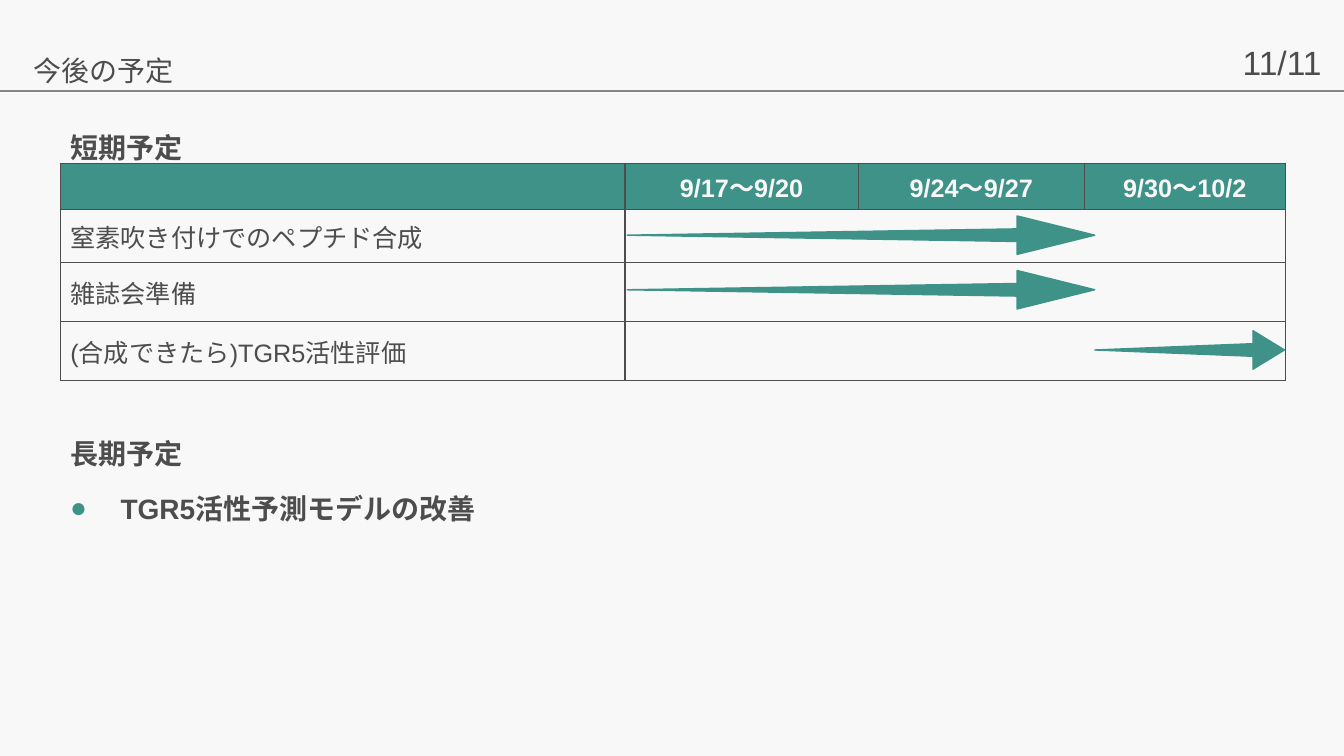
from dataclasses import dataclass

from lxml import etree
from pptx import Presentation
from pptx.dml.color import RGBColor
from pptx.enum.shapes import MSO_CONNECTOR, MSO_SHAPE
from pptx.enum.text import MSO_ANCHOR, MSO_AUTO_SIZE, PP_ALIGN
from pptx.oxml.ns import qn
from pptx.util import Pt

TRIANGLE = MSO_SHAPE.ISOSCELES_TRIANGLE
STRAIGHT = MSO_CONNECTOR.STRAIGHT
MIDDLE, TOP = MSO_ANCHOR.MIDDLE, MSO_ANCHOR.TOP
LEFT, CENTER = PP_ALIGN.LEFT, PP_ALIGN.CENTER
NO_AUTOFIT = MSO_AUTO_SIZE.NONE


@dataclass(frozen=True)
class Theme:
    paper: str = "F8F8F8"
    ink: str = "4D4D4D"
    rule: str = "858585"
    accent: str = "3E9288"
    latin: str = "Arial"
    japanese: str = "Noto Sans CJK JP"
    number_size: int = 24
    heading_size: int = 20
    table_size: int = 18


class SlideBuilder:
    def __init__(self, page, theme):
        self.page = page
        self.theme = theme
        self.fill(page.background, theme.paper)

    def fill(self, target, color):
        target.fill.solid()
        target.fill.fore_color.rgb = RGBColor.from_string(color)

    def style(self, para, size, color, bold=False):
        for span in para.runs:
            font = span.font
            font.size, font.bold, font.name = Pt(size), bold, self.theme.latin
            font.color.rgb = RGBColor.from_string(color)
            east_asian = etree.SubElement(font._element, qn("a:ea"))
            east_asian.set("typeface", self.theme.japanese)

    def set_text(self, box, place, lines, size, bold=False, spacing=1.0,
                 before=0, anchor=TOP, wrap=True):
        box.left, box.top, box.width, box.height = map(Pt, place)
        frame = box.text_frame
        frame.text = "\n".join(lines)
        frame.word_wrap = wrap
        frame.auto_size = NO_AUTOFIT
        frame.vertical_anchor = anchor
        for index, para in enumerate(frame.paragraphs):
            para.alignment = LEFT
            para.line_spacing = spacing
            para.space_before = Pt(before if index else 0)
            self.style(para, size, self.theme.ink, bold)
        return box

    def title(self, text, place):
        self.set_text(self.page.shapes.title, place, [text],
                      self.theme.heading_size, spacing=1.4, anchor=MIDDLE)

    def text(self, place, lines, size, **options):
        box = self.page.shapes.add_textbox(*map(Pt, place))
        return self.set_text(box, place, lines, size, **options)

    def bullet(self, para, indent):
        properties = para._p.get_or_add_pPr()
        properties.set("marL", str(Pt(indent)))
        properties.set("indent", str(Pt(-indent)))
        color = etree.SubElement(properties, qn("a:buClr"))
        etree.SubElement(color, qn("a:srgbClr")).set("val", self.theme.accent)
        etree.SubElement(properties, qn("a:buFont")).set("typeface", self.theme.latin)
        etree.SubElement(properties, qn("a:buChar")).set("char", "●")

    def rule(self, y, width):
        line = self.page.shapes.add_connector(STRAIGHT, 0, Pt(y), Pt(width), Pt(y))
        line.line.color.rgb = RGBColor.from_string(self.theme.rule)
        line.line.width = Pt(1)
        etree.SubElement(line._element.spPr, qn("a:effectLst"))

    def borders(self, cell, hidden):
        properties = cell._tc.get_or_add_tcPr()
        for index, side in enumerate(("lnL", "lnR", "lnT", "lnB")):
            line = etree.Element(qn(f"a:{side}"), w=str(Pt(1)))
            if side in hidden:
                etree.SubElement(line, qn("a:noFill"))
            else:
                paint = etree.SubElement(line, qn("a:solidFill"))
                etree.SubElement(paint, qn("a:srgbClr")).set("val", self.theme.ink)
            properties.insert(index, line)

    def schedule(self, left, top, widths, heights, header, tasks):
        place = map(Pt, (left, top, sum(widths), sum(heights)))
        table = self.page.shapes.add_table(len(heights), len(widths), *place).table
        for column, width in zip(table.columns, widths):
            column.width = Pt(width)
        for row, height in zip(table.rows, heights):
            row.height = Pt(height)
        last = len(widths) - 1
        rows = [header] + [[task] + [""] * last for task in tasks]
        for y, texts in enumerate(rows):
            for x, text in enumerate(texts):
                cell = table.cell(y, x)
                cell.text = text
                cell.vertical_anchor = MIDDLE
                para = cell.text_frame.paragraphs[0]
                para.alignment = LEFT if y else CENTER
                self.style(para, self.theme.table_size,
                           self.theme.ink if y else self.theme.paper, bold=not y)
                self.fill(cell, self.theme.paper if y else self.theme.accent)
                hidden = set()
                if y and x > 1:
                    hidden.add("lnL")
                if y and 0 < x < last:
                    hidden.add("lnR")
                self.borders(cell, hidden)

    def triangle(self, group, left, right, middle, breadth, rotation):
        length = right - left
        place = ((left + right - breadth) / 2, middle - length / 2, breadth, length)
        shape = group.shapes.add_shape(TRIANGLE, *map(Pt, place))
        shape.rotation = rotation
        shape.shadow.inherit = False
        self.fill(shape, self.theme.accent)
        shape.line.color.rgb = RGBColor.from_string(self.theme.accent)
        shape.line.width = Pt(1)

    def arrow(self, start, neck, tip, middle):
        group = self.page.shapes.add_group_shape()
        self.triangle(group, neck, tip, middle, 27.5, 90)
        self.triangle(group, start, neck, middle, 9, 270)


def main():
    deck = Presentation()
    deck.slide_width, deck.slide_height = Pt(960), Pt(540)
    theme = Theme()
    slide = SlideBuilder(deck.slides.add_slide(deck.slide_layouts[5]), theme)

    slide.text((880.5, 26.5, 76.5, 36), ["11/11"], theme.number_size, wrap=False)
    slide.rule(65, 960)
    slide.text((43, 82, 874, 36.5), ["短期予定"], theme.heading_size,
               bold=True, spacing=1.4, anchor=MIDDLE)
    slide.title("今後の予定", (16.5, 27.5, 902, 36.5))
    slide.schedule(
        43, 116.5, (403.5, 166.5, 161.5, 143.5), (32, 38, 42, 42),
        ["", "9/17〜9/20", "9/24〜9/27", "9/30〜10/2"],
        ["窒素吹き付けでのペプチド合成", "雑誌会準備", "(合成できたら)TGR5活性評価"])

    plans = slide.text((43, 308, 874, 221), ["長期予定", "TGR5活性予測モデルの改善"],
                       theme.heading_size, bold=True, before=15.5)
    slide.bullet(plans.text_frame.paragraphs[1], 36)

    for start, neck, tip, middle in ((448, 726.5, 782, 168),
                                     (448, 726.5, 782, 207),
                                     (782, 895, 917.5, 250)):
        slide.arrow(start, neck, tip, middle)
    deck.save("out.pptx")


if __name__ == "__main__":
    main()
